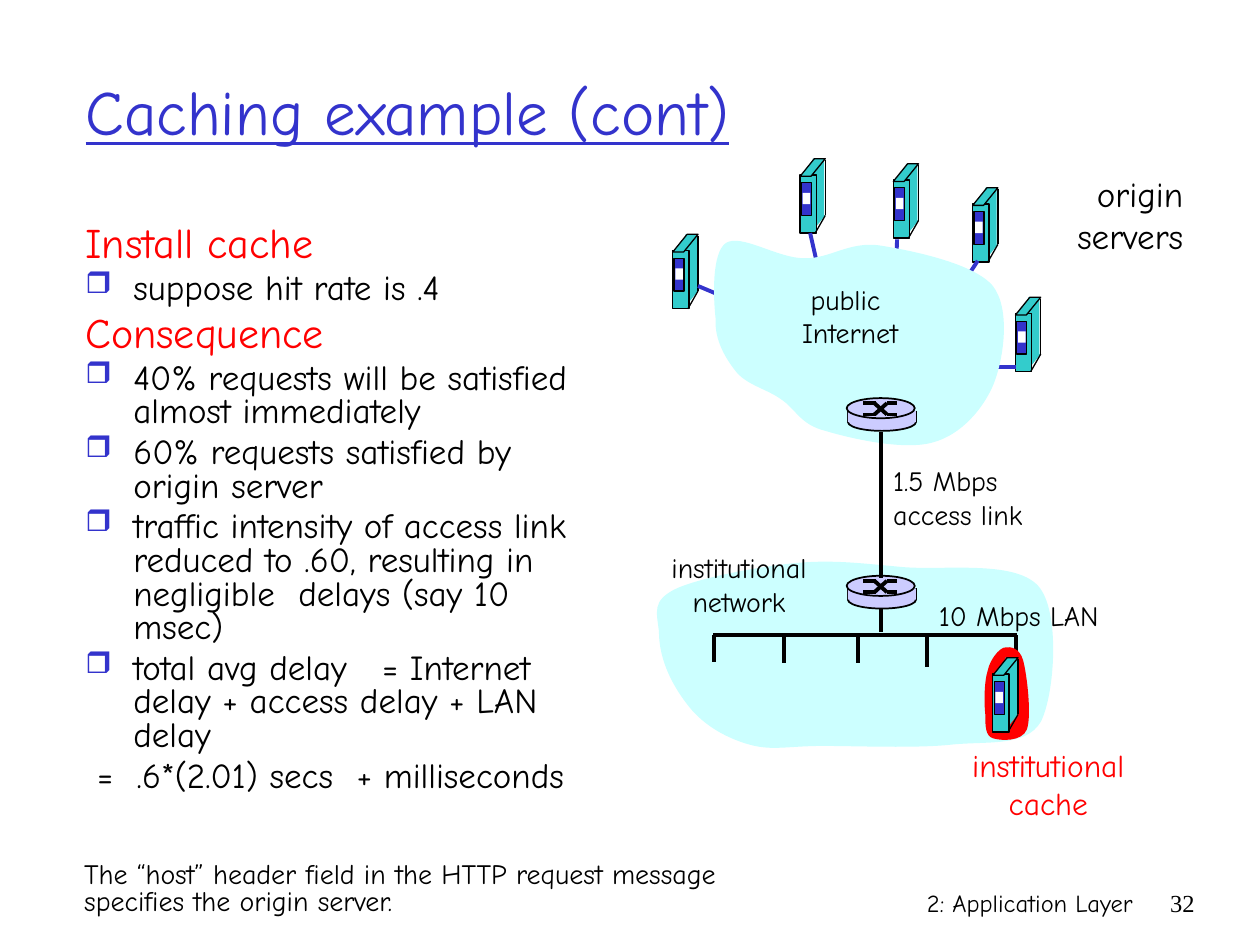
from itertools import pairwise

from lxml.etree import SubElement
from pptx import Presentation
from pptx.dml.color import RGBColor
from pptx.enum.shapes import MSO_CONNECTOR, MSO_SHAPE
from pptx.enum.text import MSO_ANCHOR, MSO_AUTO_SIZE, PP_ALIGN
from pptx.oxml.ns import qn
from pptx.util import Inches, Pt

FONT = "Comic Neue"
BLACK, BLUE, RED, WHITE = "000000", "3333CC", "FF0000", "FFFFFF"
TEAL, SKY, LILAC = "33CCCC", "CCFFFF", "CCCCFF"
LEFT, CENTER, RIGHT = PP_ALIGN.LEFT, PP_ALIGN.CENTER, PP_ALIGN.RIGHT

TITLE = "Caching example (cont)"
BODY = [
    ("heading", "Install cache"),
    ("bullet", "suppose hit rate is .4"),
    ("heading", "Consequence"),
    ("bullet", "40% requests will be satisfied almost immediately"),
    ("bullet", "60% requests satisfied by origin server"),
    ("bullet", "traffic intensity of access link reduced to .60, "
               "resulting in negligible  delays (say 10 msec)"),
    ("bullet", "total avg delay   = Internet delay + access delay + LAN delay"),
    ("plain", " =  .6*(2.01) secs  + milliseconds"),
]
NOTE = "The “host” header field in the HTTP request message specifies the origin server."
FOOTERS = [
    ((5.92, 7, 3.17, 0.5), "2: Application Layer", FONT),
    ((9.08, 7, 0.5, 0.5), "32", "Times New Roman"),
]
LABELS = [
    ((8.31, 1.32, 1.18, 0.77), ["origin", "servers"], 20, BLACK, RIGHT),
    ((6.12, 2.19, 1.18, 0.64), ["public", " Internet"], 16, BLACK, CENTER),
    ((5.14, 4.32, 1.45, 0.64), ["institutional", "network"], 16, BLACK, CENTER),
    ((7.29, 4.7, 1.59, 0.37), ["10 Mbps LAN"], 16, BLACK, CENTER),
    ((6.99, 3.63, 1.31, 0.64), ["1.5 Mbps", "access link"], 16, BLACK, LEFT),
    ((7.52, 5.87, 1.6, 0.7), ["institutional", "cache"], 18, RED, CENTER),
]

ORIGIN_SERVERS = [(5.34, 1.86), (6.35, 1.26), (7.09, 1.3), (7.72, 1.49), (8.06, 2.36)]
CACHE_SERVER = (7.88, 5.22)
INTERNET_ROUTER, INSTITUTION_ROUTER = (6.72, 3.16), (6.72, 4.57)
SERVER_LINKS = [
    (5.54, 2.27, 5.85, 2.4), (6.43, 1.85, 6.5, 2.16), (7.12, 1.9, 7.11, 2.16),
    (7.76, 2.07, 7.61, 2.3), (8.06, 2.91, 7.79, 2.91),
]
ACCESS_LINKS = [(6.99, 3.43, 6.99, 4.59), (6.99, 4.83, 6.99, 5.02)]
LAN_Y = 5.04
LAN_DROPS = [(5.67, 5.25), (6.22, 5.26), (6.81, 5.26), (7.36, 5.29), (8.06, 5.28)]

INTERNET = [
    (5.68, 2.53), (5.66, 2.35), (5.65, 2.01), (5.76, 1.93), (5.88, 1.85), (6.17, 2.05),
    (6.38, 2.05), (6.58, 2.06), (6.74, 1.91), (6.99, 1.95), (7.24, 1.99), (7.73, 2.09),
    (7.88, 2.27), (8.02, 2.45), (7.97, 2.83), (7.89, 3.04), (7.81, 3.24), (7.63, 3.45),
    (7.41, 3.51), (7.18, 3.58), (6.75, 3.48), (6.55, 3.42), (6.35, 3.37), (6.32, 3.25),
    (6.2, 3.17), (6.09, 3.09), (5.94, 3.06), (5.85, 2.96), (5.76, 2.85), (5.67, 2.7),
    (5.68, 2.53),
]
INSTITUTION = [
    (5.23, 5.01), (5.21, 4.85), (5.18, 4.77), (5.35, 4.68), (5.53, 4.59), (6, 4.5),
    (6.3, 4.47), (6.6, 4.44), (6.83, 4.47), (7.16, 4.5), (7.48, 4.53), (8.05, 4.44),
    (8.24, 4.65), (8.42, 4.85), (8.37, 5.52), (8.26, 5.73), (8.14, 5.93), (7.84, 5.88),
    (7.55, 5.91), (7.27, 5.94), (6.8, 5.92), (6.53, 5.92), (6.26, 5.92), (6.13, 5.96),
    (5.95, 5.91), (5.77, 5.86), (5.59, 5.76), (5.47, 5.61), (5.35, 5.46), (5.23, 5.25),
    (5.23, 5.01),
]
CACHE_HALO = [
    (7.84, 5.32), (7.86, 5.23), (7.93, 5.15), (7.97, 5.14), (8.02, 5.13), (8.09, 5.14),
    (8.12, 5.24), (8.15, 5.35), (8.19, 5.68), (8.15, 5.79), (8.11, 5.89), (7.94, 5.88),
    (7.88, 5.86), (7.82, 5.84), (7.82, 5.76), (7.82, 5.67), (7.81, 5.58), (7.81, 5.41),
    (7.84, 5.32),
]


def color(value):
    """Turn a hex string into a colour."""
    return RGBColor.from_string(value)


def write(para, text, size, ink=BLACK, font=FONT):
    """Add one formatted run to a paragraph."""
    span = para.add_run()
    span.text = text
    span.font.size, span.font.name = Pt(size), font
    span.font.color.rgb = color(ink)
    return span


def add_text(page, at, lines, size, ink=BLACK, align=LEFT, font=FONT, wrap=True):
    """Add a text box with one paragraph per line."""
    frame = page.shapes.add_textbox(*map(Inches, at)).text_frame
    frame.word_wrap = wrap
    if not wrap:
        frame.auto_size = MSO_AUTO_SIZE.SHAPE_TO_FIT_TEXT
    for index, line in enumerate(lines):
        para = frame.add_paragraph() if index else frame.paragraphs[0]
        para.alignment = align
        write(para, line, size, ink, font)
    return frame


def paint(shape, fill, width=0):
    """Fill a shape and give it a black outline or none."""
    shape.shadow.inherit = False
    shape.fill.solid()
    shape.fill.fore_color.rgb = color(fill)
    if width:
        shape.line.color.rgb = color(BLACK)
        shape.line.width = Pt(width)
    else:
        shape.line.fill.background()


def add_part(shapes, kind, origin, at, fill, width=0):
    """Add a preset shape placed relative to an origin."""
    left, top, wide, high = at
    box = (origin[0] + left, origin[1] + top, wide, high)
    part = shapes.add_shape(kind, *map(Inches, box))
    if kind == MSO_SHAPE.PARALLELOGRAM:
        part.adjustments[0] = 0.81
    paint(part, fill, width)


def add_line(shapes, ends, ink=BLACK, width=2.25, origin=(0, 0)):
    """Add a straight line placed relative to an origin."""
    ends = [value + shift for value, shift in zip(ends, origin * 2)]
    line = shapes.add_connector(MSO_CONNECTOR.STRAIGHT, *map(Inches, ends))
    line.line.color.rgb = color(ink)
    line.line.width = Pt(width)
    SubElement(line._element.spPr, qn("a:effectLst"))


def add_blob(shapes, points, fill):
    """Draw a closed outline, joining each three points into one cubic curve."""
    start, *others = [tuple(map(Inches, point)) for point in points]
    builder = shapes.build_freeform(*start)
    builder.add_line_segments(others, close=True)
    blob = builder.convert_to_shape()
    outline = blob._element.find(".//" + qn("a:path"))
    segments = outline.findall(qn("a:lnTo"))
    for first in range(0, len(others), 3):
        curve = SubElement(outline, qn("a:cubicBezTo"))
        for segment in segments[first:first + 3]:
            curve.append(segment[0])
            outline.remove(segment)
    outline.append(outline.find(qn("a:close")))
    paint(blob, fill)


def add_server(shapes, origin):
    """Draw a tower server."""
    slant, block = MSO_SHAPE.PARALLELOGRAM, MSO_SHAPE.RECTANGLE
    add_part(shapes, slant, origin, (0, 0.45, 0.2, 0.14), TEAL)
    add_part(shapes, block, origin, (0.1, 0, 0.09, 0.46), TEAL)
    add_part(shapes, block, origin, (0, 0.13, 0.13, 0.46), TEAL, 0.75)
    add_part(shapes, slant, origin, (0, 0, 0.2, 0.14), TEAL, 0.75)
    for start, end in pairwise([(0.2, 0.01), (0.2, 0.45), (0.12, 0.59)]):
        add_line(shapes, start + end, BLACK, 0.75, origin)
    add_part(shapes, block, origin, (0.01, 0.19, 0.08, 0.26), BLUE, 0.75)
    add_part(shapes, block, origin, (0.02, 0.27, 0.06, 0.09), WHITE)


def add_router(shapes, origin):
    """Draw a router disc with crossing paths on top."""
    add_part(shapes, MSO_SHAPE.OVAL, origin, (0.01, 0.12, 0.54, 0.14), LILAC, 1)
    for x in (0.01, 0.55):
        add_line(shapes, (x, 0.1, x, 0.19), BLACK, 1, origin)
    add_part(shapes, MSO_SHAPE.RECTANGLE, origin, (0.01, 0.1, 0.54, 0.09), LILAC)
    add_part(shapes, MSO_SHAPE.OVAL, origin, (0, 0, 0.54, 0.16), LILAC, 1)
    for near, far in ((0.04, 0.13), (0.13, 0.04)):
        add_line(shapes, (0.13, near, 0.23, near), origin=origin)
        add_line(shapes, (0.32, far, 0.4, far), origin=origin)
        add_line(shapes, (0.22, near, 0.32, far), origin=origin)


def add_body(page):
    """Write the headings and bullets."""
    frame = page.shapes.add_textbox(*map(Inches, (0.58, 1.75, 4.33, 5.08))).text_frame
    frame.word_wrap = True
    for index, (kind, text) in enumerate(BODY):
        para = frame.add_paragraph() if index else frame.paragraphs[0]
        size, ink = (24, RED) if kind == "heading" else (20, BLACK)
        props = para._p.get_or_add_pPr()
        props.set("marL", str(Inches(0.38)))
        props.set("indent", str(-Inches(0.38)))
        if kind == "bullet":
            SubElement(SubElement(props, qn("a:buClr")), qn("a:srgbClr"), val=BLUE)
            SubElement(props, qn("a:buSzPct"), val="85000")
            SubElement(props, qn("a:buChar"), char="❒")
        para.line_spacing = 0.8
        if index:
            para.space_before = Pt(size * 0.2)
        write(para, text, size, ink)


def main():
    """Build the slide and save the deck."""
    deck = Presentation()
    deck.slide_width, deck.slide_height = Inches(10), Inches(7.5)
    page = deck.slides.add_slide(deck.slide_layouts[5])
    shapes = page.shapes
    title = shapes.title
    title.left, title.top, title.width, title.height = map(Inches, (0.58, 0.25, 8.5, 1.25))
    title.text_frame.vertical_anchor = MSO_ANCHOR.MIDDLE
    title.text_frame.auto_size = MSO_AUTO_SIZE.NONE
    title.text_frame.paragraphs[0].alignment = LEFT
    write(title.text_frame.paragraphs[0], TITLE, 36, BLUE).font.underline = True
    add_body(page)

    for origin in ORIGIN_SERVERS:
        add_server(shapes.add_group_shape().shapes, origin)
    for ends in SERVER_LINKS:
        add_line(shapes, ends, BLUE)
    add_blob(shapes, INTERNET, SKY)
    add_router(shapes.add_group_shape().shapes, INTERNET_ROUTER)
    add_blob(shapes, INSTITUTION, SKY)
    add_line(shapes, (5.66, LAN_Y, 8.07, LAN_Y))
    for x, bottom in LAN_DROPS:
        add_line(shapes, (x, LAN_Y, x, bottom))
    cache = shapes.add_group_shape().shapes
    add_blob(cache, CACHE_HALO, RED)
    add_server(cache, CACHE_SERVER)
    add_router(shapes.add_group_shape().shapes, INSTITUTION_ROUTER)
    for ends in ACCESS_LINKS:
        add_line(shapes, ends)

    for at, lines, size, ink, align in LABELS:
        add_text(page, at, lines, size, ink, align, wrap=False)
    note = add_text(page, (0.57, 6.8, 6.07, 0.53), [NOTE], 16)
    note.paragraphs[0].line_spacing = 0.8
    for at, text, font in FOOTERS:
        add_text(page, at, [text], 14, BLACK, RIGHT, font)
    deck.save("out.pptx")


if __name__ == "__main__":
    main()
